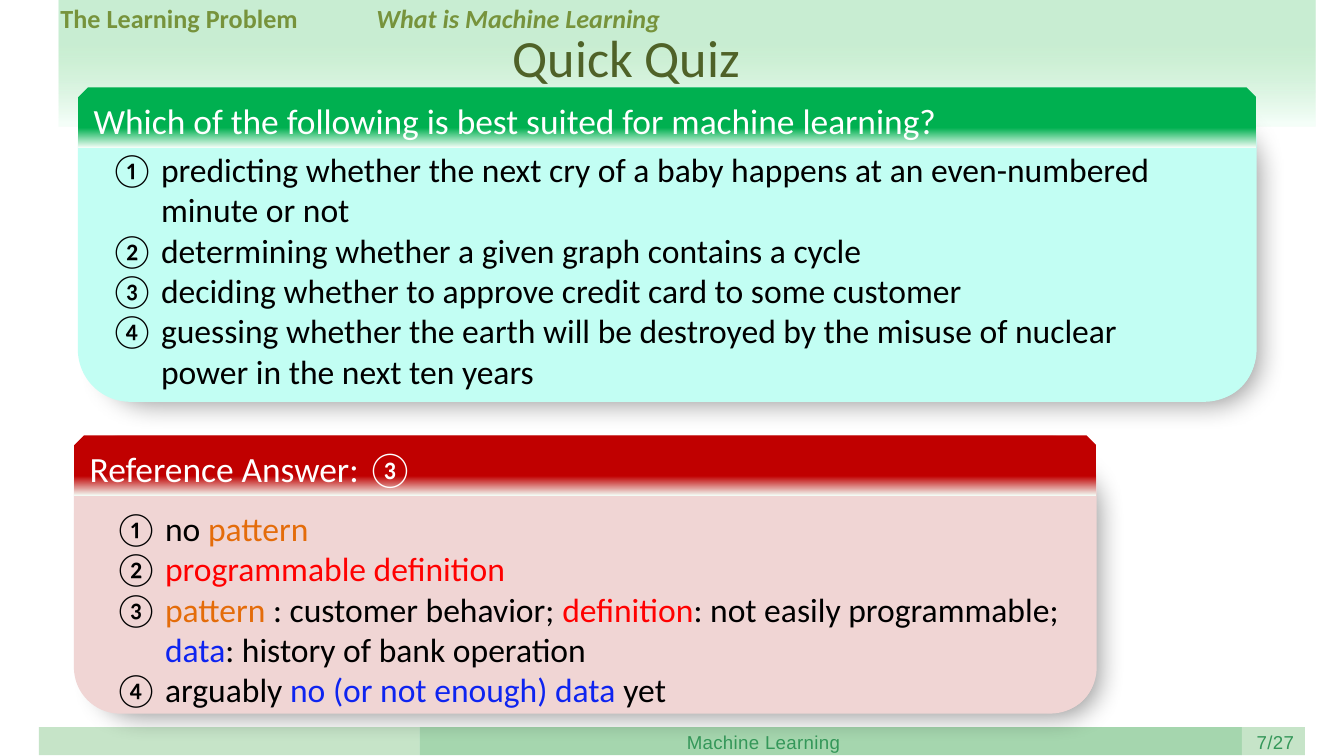
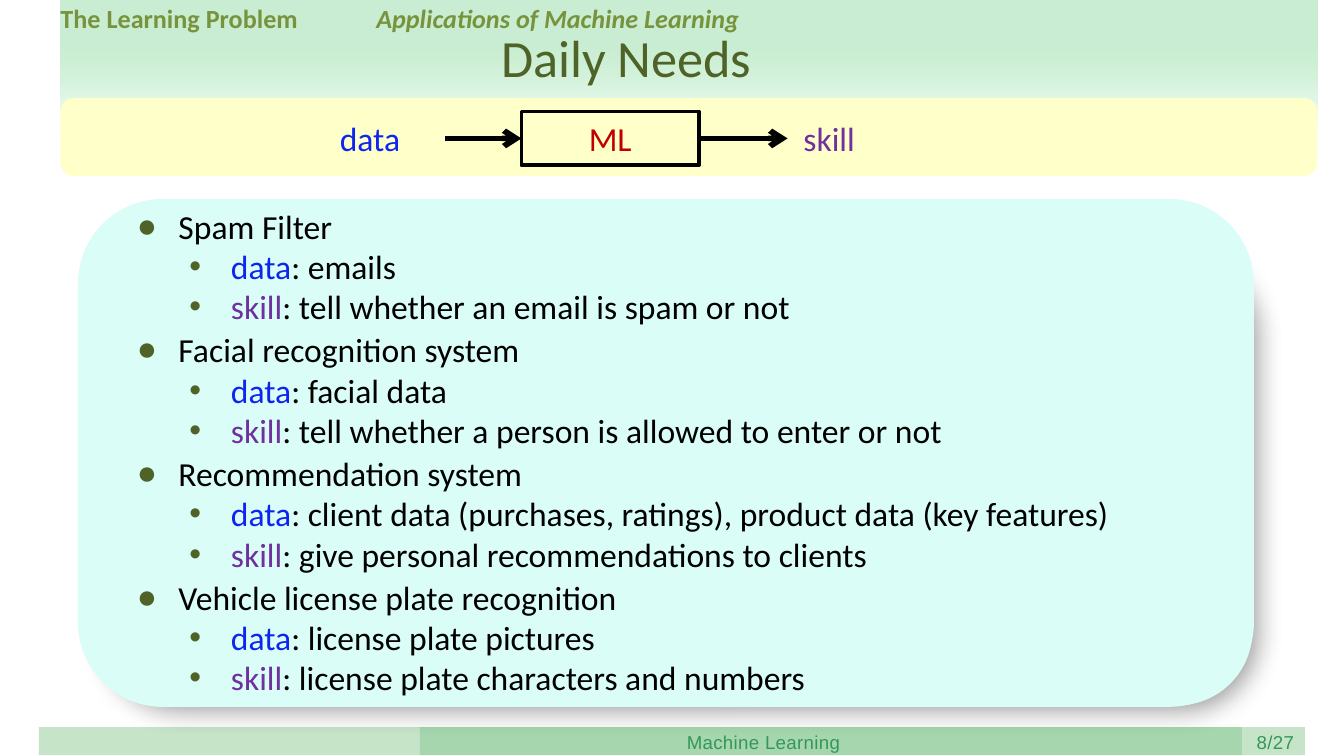
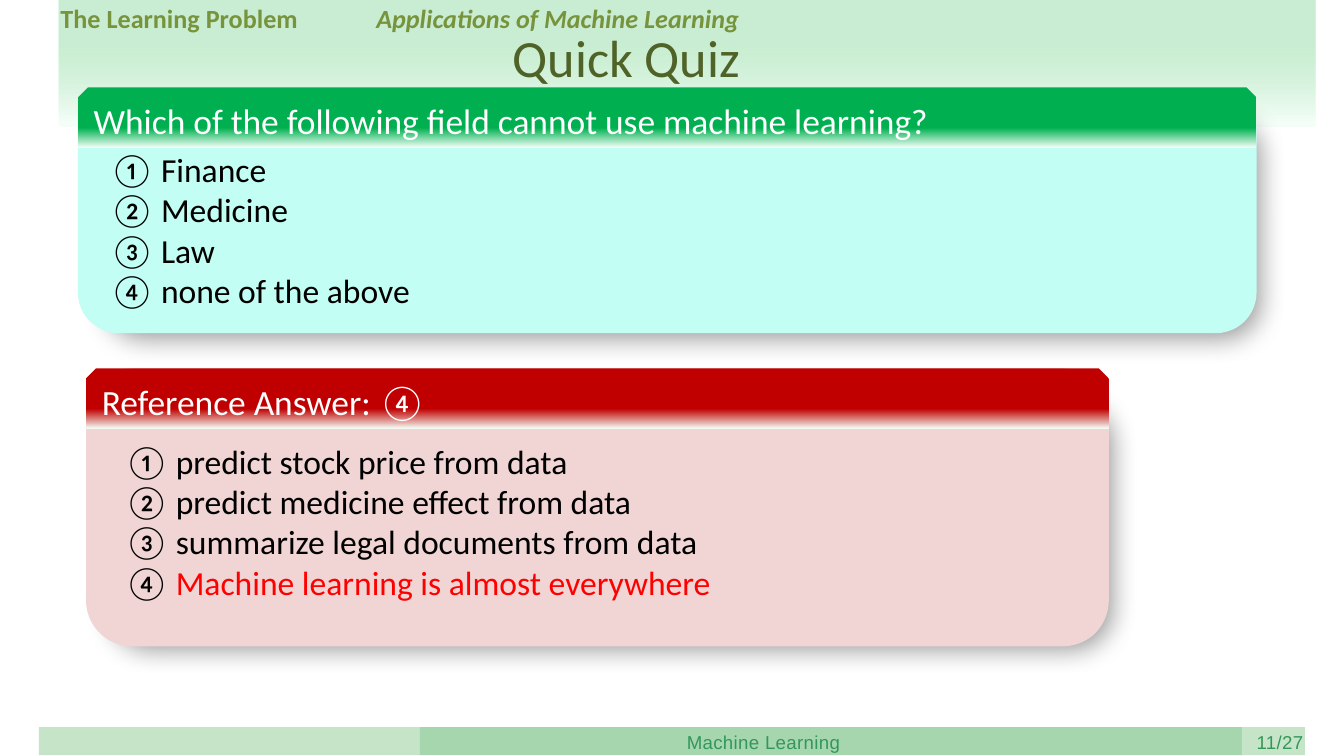
"""Build three lecture slides on machine learning: two quizzes and one list of applications."""
import lxml.etree
import pptx
import pptx.dml.color
import pptx.enum.shapes
import pptx.enum.text
import pptx.oxml
import pptx.oxml.ns
import pptx.util

Inches = pptx.util.Inches
RGBColor = pptx.dml.color.RGBColor
MSO_SHAPE = pptx.enum.shapes.MSO_SHAPE
ALIGN = pptx.enum.text.PP_ALIGN
qn = pptx.oxml.ns.qn
NAMESPACE = pptx.oxml.ns.nsdecls("a")

BLACK = RGBColor(0x00, 0x00, 0x00)
WHITE = RGBColor(0xFF, 0xFF, 0xFF)
MINT = RGBColor(0xAD, 0xE5, 0xBA)
PALE_MINT = RGBColor(0xF4, 0xFE, 0xF8)
FOOTER_LIGHT = RGBColor(0xC6, 0xE4, 0xC8)
FOOTER_DARK = RGBColor(0xA5, 0xD6, 0xAE)
FOOTER_TEXT = RGBColor(0x34, 0x97, 0x59)
OLIVE = RGBColor(0x77, 0x93, 0x3C)
DARK_OLIVE = RGBColor(0x4F, 0x62, 0x28)
QUESTION_HEAD = RGBColor(0x00, 0xB0, 0x50)
QUESTION_BODY = RGBColor(0xC2, 0xFE, 0xF3)
ANSWER_HEAD = RGBColor(0xC0, 0x00, 0x00)
ANSWER_BODY = RGBColor(0xF0, 0xD5, 0xD4)
NEEDS_BODY = RGBColor(0xDA, 0xFE, 0xF7)
CREAM = RGBColor(0xFF, 0xFF, 0xC9)
RED = RGBColor(0xFF, 0x00, 0x00)
ORANGE = RGBColor(0xE4, 0x6C, 0x0A)
BLUE = RGBColor(0x0E, 0x24, 0xF0)
PURPLE = RGBColor(0x70, 0x30, 0xA0)

NUMBERED = (0.38, -0.38, BLACK, '<a:buAutoNum %s type="circleNumDbPlain"/>')
TOPIC_DOT = (0.31, -0.31, DARK_OLIVE, '<a:buChar %s char="●"/>')
DETAIL_DOT = (0.7, -0.31, DARK_OLIVE, '<a:buChar %s char="•"/>')
TIGHT = (0.08, 0.04)


def add_block(slide, outline, box, *stops):
    """Add a shape with one plain colour, or a downward gradient of (position, colour) stops."""
    block = slide.shapes.add_shape(outline, *map(Inches, box))
    block.shadow.inherit = False
    block.line.fill.background()
    if len(stops) == 1:
        block.fill.solid()
        block.fill.fore_color.rgb = stops[0]
    else:
        block.fill.gradient()
        block.fill.gradient_angle = 270
        for stop, (position, colour) in zip(block.fill.gradient_stops, stops):
            stop.position = position
            stop.color.rgb = colour
    return block


def write(holder, paragraphs, size, margins=(0.1, 0.05), align=ALIGN.LEFT, bullets=(), face="Calibri"):
    """Fill a shape with paragraphs of (text, colour) runs and return all runs."""
    frame = holder.text_frame
    frame.word_wrap = True
    frame.margin_left = frame.margin_right = Inches(margins[0])
    frame.margin_top = frame.margin_bottom = Inches(margins[1])
    runs = []
    for index, pieces in enumerate(paragraphs):
        paragraph = frame.add_paragraph() if index else frame.paragraphs[0]
        paragraph.alignment = align
        if bullets:
            margin, hanging, tint, marker = bullets[index % len(bullets)]
            paragraph.level = int(margin > 0.5)
            properties = paragraph._p.get_or_add_pPr()
            properties.set("marL", str(Inches(margin)))
            properties.set("indent", str(Inches(hanging)))
            for part in (f'<a:buClr %s><a:srgbClr val="{tint}"/></a:buClr>',
                         '<a:buFont %s typeface="Arial"/>', marker):
                properties.append(pptx.oxml.parse_xml(part % NAMESPACE))
        for text, colour in pieces:
            run = paragraph.add_run()
            run.text = text
            run.font.name = face
            run.font.size = pptx.util.Pt(size)
            run.font.color.rgb = colour
            runs.append(run)
    return runs


deck = pptx.Presentation()
deck.slide_width, deck.slide_height = Inches(10), Inches(10 * 9 / 16)

pages = [
    ("What is Machine Learning", "Quick Quiz", "7/27", (0.44, -0.02)),
    ("Applications of Machine Learning", "Daily Needs", "8/27", (0.45, 0)),
    ("Applications of Machine Learning", "Quick Quiz", "11/27", (0.44, -0.02)),
]
for topic, title, number, band_corner in pages:
    slide = deck.slides.add_slide(deck.slide_layouts[6])
    band = add_block(slide, MSO_SHAPE.RECTANGLE, (*band_corner, 9.35, 0.96), (0.37, MINT), (0.96, PALE_MINT))
    first_stop = next(band.element.iter(qn("a:srgbClr")))
    lxml.etree.SubElement(first_stop, qn("a:alpha"), val="65000")

    for left, width, colour in [(0.29, 2.83, FOOTER_LIGHT), (3.12, 6.12, FOOTER_DARK), (9.24, 0.47, FOOTER_LIGHT)]:
        add_block(slide, MSO_SHAPE.RECTANGLE, (left, 5.41, width, 0.21), colour)
    for text, left, width in [("Machine Learning", 5.11, 2.15), (number, 9.35, 0.42)]:
        footer = slide.shapes.add_textbox(*map(Inches, (left, 5.44, width, 0.17)))
        for run in write(footer, [[(text, FOOTER_TEXT)]], 10, (0, 0), face="Arial"):
            run.font._element.set("spc", "20")

    for text, left, width, slanted in [("The Learning Problem", 0.37, 2.35, False), (topic, 2.72, 3.06, True)]:
        section = slide.shapes.add_textbox(*map(Inches, (left, -0.02, width, 0.31)))
        for run in write(section, [[(text, OLIVE)]], 14, TIGHT):
            run.font.bold = True
            run.font.italic = slanted
    heading = slide.shapes.add_textbox(*map(Inches, (1.42, 0.15, 6.48, 0.55)))
    write(heading, [[(title, DARK_OLIVE)]], 28, TIGHT, ALIGN.CENTER)

first_quiz, daily_needs, second_quiz = deck.slides

panels = [
    (first_quiz, (0.58, 0.65, 8.77, 2.34), QUESTION_BODY, QUESTION_HEAD,
     "Which of the following is best suited for machine learning?", (0.72, 1.06, 8.03, 1.92), [
         [("predicting whether the next cry of a baby happens at an even-numbered minute or not", BLACK)],
         [("determining whether a given graph contains a cycle", BLACK)],
         [("deciding whether to approve credit card to some customer", BLACK)],
         [("guessing whether the earth will be destroyed by the misuse of nuclear power in the next ten years",
           BLACK)]]),
    (first_quiz, (0.55, 3.24, 7.61, 2.07), ANSWER_BODY, ANSWER_HEAD,
     "Reference Answer: ③", (0.75, 3.73, 7.33, 1.62), [
         [("no ", BLACK), ("pattern", ORANGE)],
         [("programmable definition", RED)],
         [("pattern ", ORANGE), (": customer behavior; ", BLACK), ("definition", RED),
          (": not easily programmable; ", BLACK), ("data", BLUE), (": history of bank operation", BLACK)],
         [("arguably ", BLACK), ("no (or not enough) data ", BLUE), ("yet", BLACK)]]),
    (daily_needs, (0.58, 1.48, 8.75, 3.78), NEEDS_BODY, None, None, None, None),
    (second_quiz, (0.58, 0.65, 8.77, 1.83), QUESTION_BODY, QUESTION_HEAD,
     "Which of the following field cannot use machine learning?", (0.72, 1.06, 8.03, 1.31),
     [[(field, BLACK)] for field in ("Finance", "Medicine", "Law", "none of the above")]),
    (second_quiz, (0.64, 2.74, 7.61, 2.07), ANSWER_BODY, ANSWER_HEAD,
     "Reference Answer: ④", (0.83, 3.23, 7.33, 1.31), [
         [("predict stock price from data", BLACK)],
         [("predict medicine effect from data", BLACK)],
         [("summarize legal documents from data", BLACK)],
         [("Machine learning is almost everywhere", RED)]]),
]
for slide, card, body_colour, head_colour, head_text, items_box, items in panels:
    left, top, width, height = card
    base_width, base_height = 0.98 * width, 0.89 * height
    base = add_block(slide, MSO_SHAPE.ROUNDED_RECTANGLE,
                     (left + width - base_width - 0.01, top + height - base_height - 0.01, base_width, base_height),
                     body_colour)
    effects = base.element.spPr.find(qn("a:effectLst"))
    shade = lxml.etree.SubElement(effects, qn("a:outerShdw"), blurRad=str(Inches(0.2)),
                                  dist=str(Inches(0.05)), dir="2700000", algn="tl", rotWithShape="0")
    shade_colour = lxml.etree.SubElement(shade, qn("a:srgbClr"), val=str(BLACK))
    lxml.etree.SubElement(shade_colour, qn("a:alpha"), val="40000")
    add_block(slide, MSO_SHAPE.ROUNDED_RECTANGLE, card, body_colour)
    if head_text:
        head = add_block(slide, MSO_SHAPE.SNIP_2_SAME_RECTANGLE, (left, top, width, 0.45),
                         (0.67, head_colour), (1, PALE_MINT))
        head.text_frame.vertical_anchor = pptx.enum.text.MSO_ANCHOR.MIDDLE
        write(head, [[(head_text, WHITE)]], 19, TIGHT)
        write(slide.shapes.add_textbox(*map(Inches, items_box)), items, 18, bullets=[NUMBERED])

add_block(daily_needs, MSO_SHAPE.ROUNDED_RECTANGLE, (0.45, 0.73, 9.35, 0.58), CREAM)
for word, left, width, colour in [("data", 2.43, 0.85, BLUE), ("skill", 5.88, 1.87, PURPLE)]:
    label = daily_needs.shapes.add_textbox(*map(Inches, (left, 0.83, width, 0.4)))
    write(label, [[(word, colour)]], 18)
learner = add_block(daily_needs, MSO_SHAPE.RECTANGLE, (3.88, 0.83, 1.32, 0.4), CREAM)
learner.fill.background()
learner.line.color.rgb = BLACK
learner.line.width = pptx.util.Pt(2)
learner.text_frame.vertical_anchor = pptx.enum.text.MSO_ANCHOR.MIDDLE
write(learner, [[("ML", ANSWER_HEAD)]], 18, align=ALIGN.CENTER)

for start, end in [(3.31, 3.88), (5.2, 5.86)]:
    arrow = daily_needs.shapes.add_connector(pptx.enum.shapes.MSO_CONNECTOR.STRAIGHT, Inches(start), Inches(1.03),
                                             Inches(end), Inches(1.03))
    if end < 5:
        arrow.end_connect(learner, 1)
    else:
        arrow.begin_connect(learner, 3)
    arrow.line.color.rgb = BLACK
    arrow.line.width = pptx.util.Pt(3)
    lxml.etree.SubElement(arrow.line._get_or_add_ln(), qn("a:tailEnd"), type="arrow")
    lxml.etree.SubElement(arrow.element.spPr, qn("a:effectLst"))

applications = [
    ("Spam Filter", "emails", "tell whether an email is spam or not"),
    ("Facial recognition system", "facial data", "tell whether a person is allowed to enter or not"),
    ("Recommendation system", "client data (purchases, ratings), product data (key features)",
     "give personal recommendations to clients"),
    ("Vehicle license plate recognition", "license plate pictures", "license plate characters and numbers"),
]
for row, (application, data, skill) in enumerate(applications):
    entry = daily_needs.shapes.add_textbox(*map(Inches, (0.92, 1.48 + 0.92 * row, 8, 1.01)))
    write(entry, [[(application, BLACK)],
                  [("data", BLUE), (f": {data}", BLACK)],
                  [("skill", PURPLE), (f": {skill}", BLACK)]],
          18, bullets=[TOPIC_DOT, DETAIL_DOT, DETAIL_DOT])

deck.save("out.pptx")
